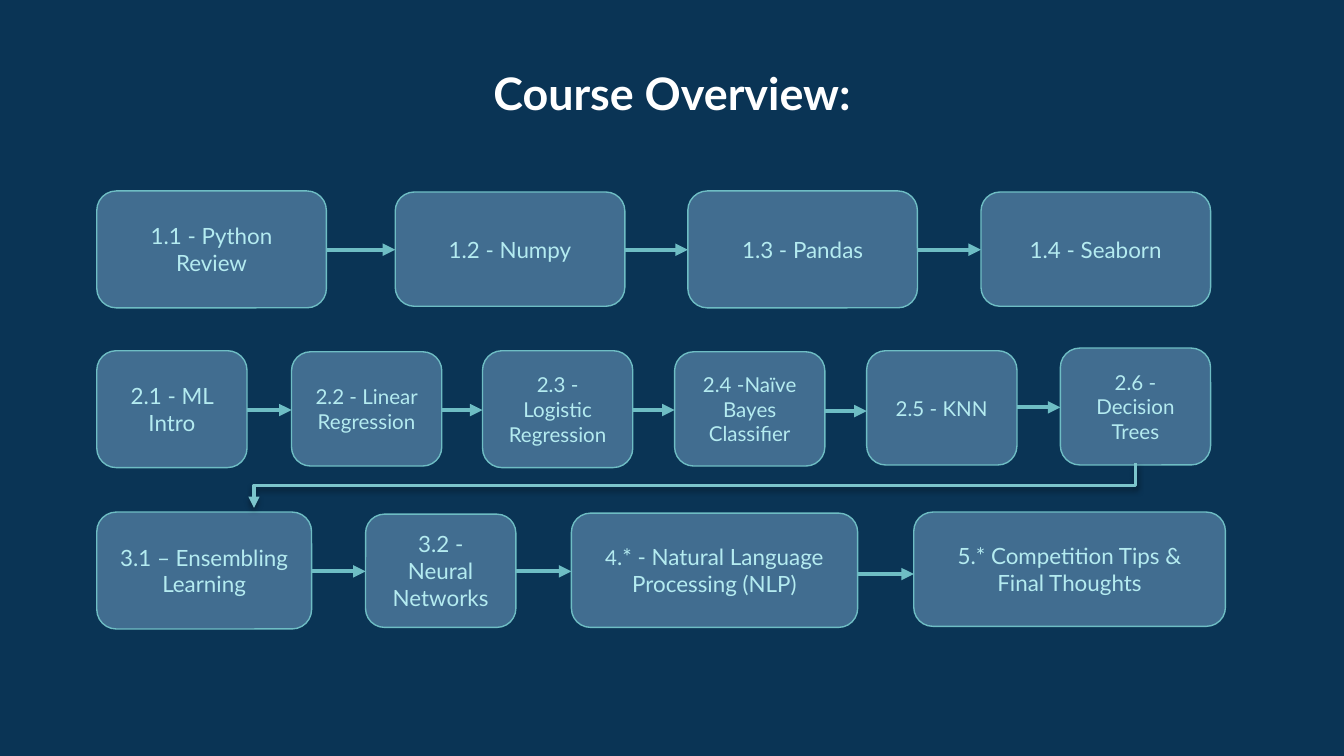
from dataclasses import dataclass
from itertools import pairwise

from pptx import Presentation
from pptx.dml.color import RGBColor
from pptx.enum.shapes import MSO_CONNECTOR as Connector
from pptx.enum.shapes import MSO_SHAPE as Shape
from pptx.enum.text import MSO_ANCHOR as Anchor
from pptx.enum.text import PP_ALIGN as Align
from pptx.oxml import parse_xml
from pptx.oxml.ns import nsdecls
from pptx.util import Cm, Pt

FONT = "Lato"
BACKGROUND = "0A3455"
BOX_FILL = "416D90"
BOX_LINE = "6EBDC4"
BOX_TEXT = "B4EBF0"
RETURN_LINE = "7CC5CC"
WHITE = "FFFFFF"
INSET = 0.25

SHADOW = (
    '<a:outerShdw blurRad="40000" dist="20000" dir="5400000" rotWithShape="0">'
    '<a:srgbClr val="000000"><a:alpha val="38000"/></a:srgbClr></a:outerShdw>'
)


@dataclass
class Step:
    """One course unit in cm; arrow_y is the height of the arrow leaving it."""
    text: str
    left: float
    top: float
    width: float
    height: float
    arrow_y: float = 0
    size: int = 12
    small_prefix: str = ""

    @property
    def right(self) -> float:
        return self.left + self.width


ROWS = [
    [
        Step("1.1 - Python Review", 1.83, 3.61, 4.34, 2.21, 4.72),
        Step("1.2 - Numpy", 7.47, 3.63, 4.34, 2.16, 4.72),
        Step("1.3 - Pandas", 13, 3.61, 4.34, 2.21, 4.72),
        Step("1.4 - Seaborn", 18.54, 3.63, 4.34, 2.16),
    ],
    [
        Step("2.1 - ML Intro", 1.83, 6.63, 2.84, 2.21, 7.75),
        Step("2.2 - Linear Regression", 5.51, 6.65, 2.84, 2.16, 7.75, 11),
        Step("2.3 - Logistic Regression", 9.12, 6.63, 2.84, 2.21, 7.75, 11),
        Step("2.4 -Naïve Bayes Classifier", 12.75, 6.65, 2.84, 2.16, 7.77, 11),
        Step("2.5 - KNN", 16.38, 6.63, 2.84, 2.16, 7.7, 11),
        Step("2.6 - Decision Trees", 20.04, 6.58, 2.84, 2.21, size=11),
    ],
    [
        Step("3.1 – Ensembling Learning", 1.83, 9.68, 4.06, 2.21, 10.8),
        Step("3.2 - Neural Networks", 6.91, 9.72, 2.84, 2.14, 10.8),
        Step(".* - Natural Language Processing (NLP)", 10.8, 9.7, 5.41, 2.16, 10.85,
             small_prefix="4"),
        Step("5.* Competition Tips & Final Thoughts", 17.27, 9.68, 5.89, 2.16),
    ],
]


def color(value: str) -> RGBColor:
    return RGBColor.from_string(value)


def prepare_text(shape, anchor, size: int, text_color: str, bold: bool = False):
    """Set up the text frame and return its centred first paragraph."""
    frame = shape.text_frame
    frame.word_wrap = True
    frame.vertical_anchor = anchor
    frame.margin_left = frame.margin_right = Cm(INSET)
    frame.margin_top = frame.margin_bottom = Cm(INSET)
    paragraph = frame.paragraphs[0]
    paragraph.alignment = Align.CENTER
    paragraph.font.name = FONT
    paragraph.font.size = Pt(size)
    paragraph.font.bold = bold
    paragraph.font.color.rgb = color(text_color)
    return paragraph


def add_title(slide, text: str) -> None:
    box = slide.shapes.add_textbox(Cm(4.57), Cm(0.99), Cm(16.26), Cm(2.62))
    prepare_text(box, Anchor.TOP, 24, WHITE, bold=True).add_run().text = text


def add_step(slide, step: Step) -> None:
    shape = slide.shapes.add_shape(
        Shape.FLOWCHART_ALTERNATE_PROCESS,
        Cm(step.left), Cm(step.top), Cm(step.width), Cm(step.height))
    shape.shadow.inherit = False
    shape.fill.solid()
    shape.fill.fore_color.rgb = color(BOX_FILL)
    shape.line.color.rgb = color(BOX_LINE)
    shape.line.width = Pt(0.75)
    paragraph = prepare_text(shape, Anchor.MIDDLE, step.size, BOX_TEXT)
    if step.small_prefix:
        run = paragraph.add_run()
        run.text = step.small_prefix
        run.font.size = Pt(step.size - 1)
    paragraph.add_run().text = step.text


def add_arrow(slide, kind, start: tuple[float, float], end: tuple[float, float],
              line_color: str, width: float, effect: str = ""):
    arrow = slide.shapes.add_connector(kind, *map(Cm, start + end))
    arrow.line.color.rgb = color(line_color)
    arrow.line.width = Pt(width)
    arrow.line._get_or_add_ln().append(
        parse_xml(f'<a:tailEnd {nsdecls("a")} type="triangle"/>'))
    arrow._element.spPr.append(
        parse_xml(f'<a:effectLst {nsdecls("a")}>{effect}</a:effectLst>'))
    return arrow


def add_return_arrow(slide, start: tuple[float, float], end: tuple[float, float]) -> None:
    """Lead down, left and down again: an elbow turned by a quarter."""
    center_x, center_y = (start[0] + end[0]) / 2, (start[1] + end[1]) / 2
    half_width, half_height = (end[1] - start[1]) / 2, (start[0] - end[0]) / 2
    arrow = add_arrow(
        slide, Connector.ELBOW,
        (center_x - half_width, center_y - half_height),
        (center_x + half_width, center_y + half_height),
        RETURN_LINE, 2, SHADOW)
    arrow._element.spPr.xfrm.set("rot", str(90 * 60000))


def main() -> None:
    presentation = Presentation()
    presentation.slide_width = Cm(25.4)
    presentation.slide_height = Cm(14.29)
    slide = presentation.slides.add_slide(presentation.slide_layouts[6])
    slide.background.fill.solid()
    slide.background.fill.fore_color.rgb = color(BACKGROUND)

    add_title(slide, "Course Overview:")
    for row in ROWS:
        for step in row:
            add_step(slide, step)
        for step, following in pairwise(row):
            add_arrow(slide, Connector.STRAIGHT, (step.right, step.arrow_y),
                      (following.left, step.arrow_y), BOX_LINE, 2.25)
    add_return_arrow(slide, (21.46, 8.76), (4.8, 9.6))
    presentation.save("out.pptx")


if __name__ == "__main__":
    main()
